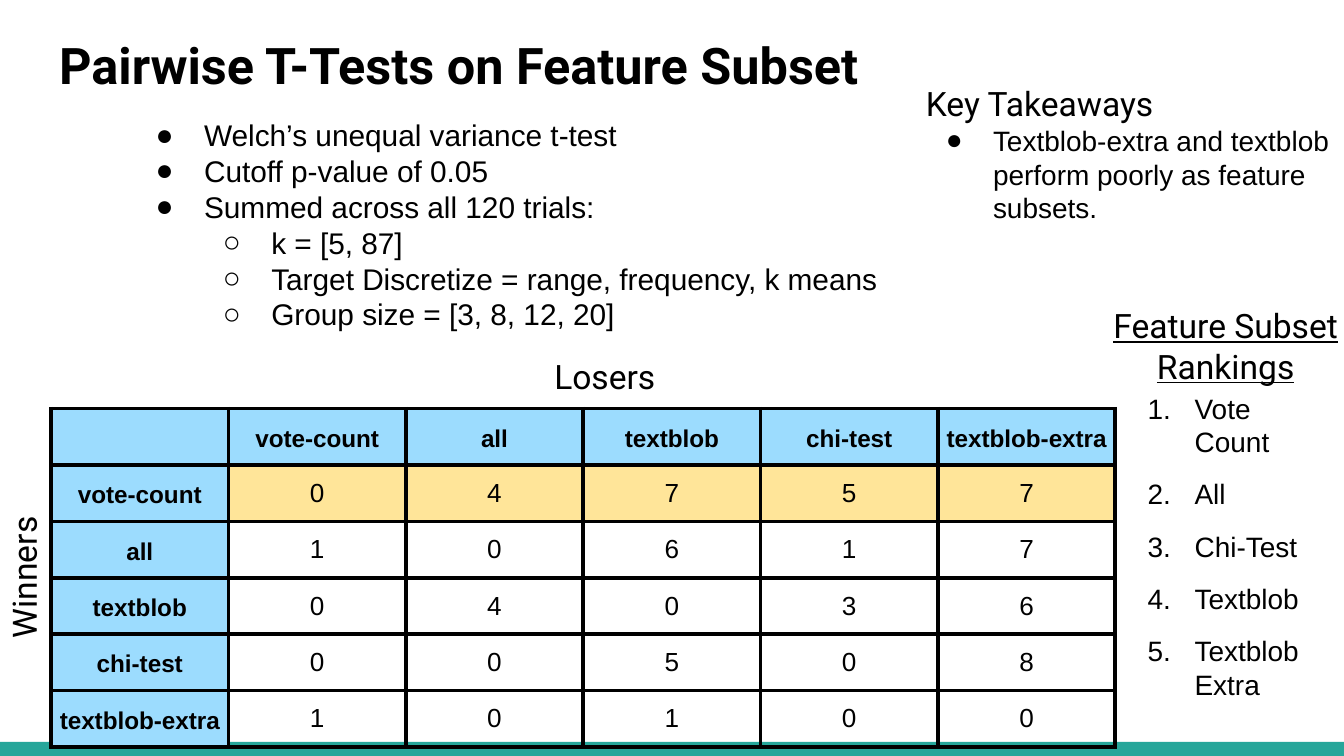
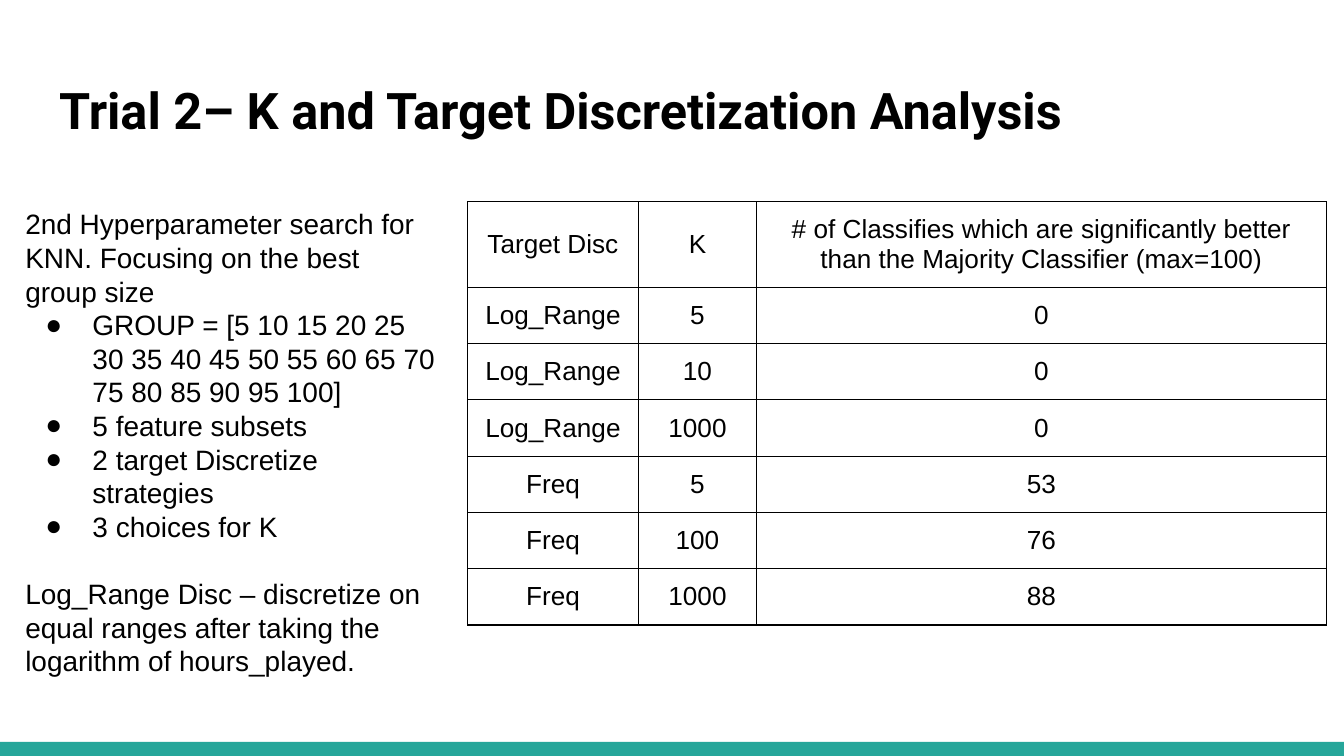
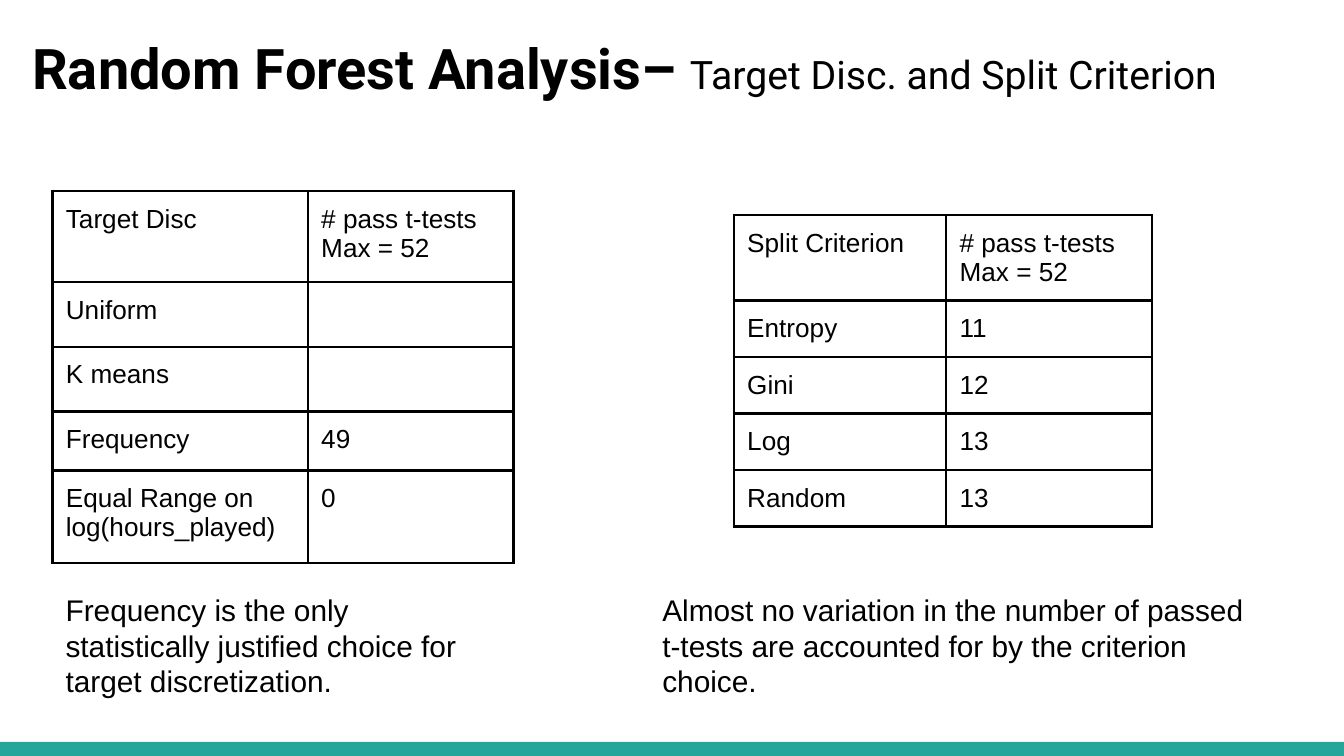
from dataclasses import dataclass

from lxml import etree
from pptx import Presentation
from pptx.dml.color import RGBColor
from pptx.enum.shapes import MSO_SHAPE
from pptx.enum.text import MSO_ANCHOR, MSO_AUTO_SIZE, PP_ALIGN
from pptx.oxml.ns import qn
from pptx.util import Inches, Pt

LEFT, CENTER = PP_ALIGN.LEFT, PP_ALIGN.CENTER
TOP, MIDDLE = MSO_ANCHOR.TOP, MSO_ANCHOR.MIDDLE
FIXED = MSO_AUTO_SIZE.NONE
RECT = MSO_SHAPE.RECTANGLE

BLACK = RGBColor(0x00, 0x00, 0x00)
TEAL = RGBColor(0x26, 0xA6, 0x9A)
BLUE = RGBColor(0x9C, 0xDC, 0xFE)
GOLD = RGBColor(0xFF, 0xE5, 0x99)

HEAD, BODY = "Roboto", "Arial"
DOT, RING, NUMBER = "●", "○", "1."
WIDTH = Inches(10)
HEIGHT = WIDTH * 9 // 16


@dataclass
class Run:
    text: str
    size: float | None = None
    bold: bool | None = None


@dataclass
class Para:
    text: str | list[Run]
    mark: str = ""
    level: int = 0
    size: float | None = None
    font: str | None = None
    before: float = 0
    after: float = 0


@dataclass
class Box:
    left: float
    top: float
    width: float
    height: float

    def place(self) -> list[int]:
        return [Inches(n) for n in (self.left, self.top, self.width, self.height)]


@dataclass
class Grid:
    left: float
    top: float
    cols: list[float]
    rows: list[float]
    cells: list[list[str]]
    line: float
    align: PP_ALIGN = LEFT
    anchor: MSO_ANCHOR = TOP
    pad: tuple[float, float] = (0.1, 0.1)
    keyed: bool = False


def add_mark(para, mark: str, level: int, size: float) -> None:
    props = para._p.get_or_add_pPr()
    props.set("marL", str(Inches(0.5 * (level + 1))))
    props.set("indent", str(-Inches(0.36 if size >= 16 else 0.35)))
    color = etree.SubElement(props, qn("a:buClr"))
    etree.SubElement(color, qn("a:srgbClr"), val=str(BLACK))
    etree.SubElement(props, qn("a:buFont"), typeface=BODY)
    if mark == NUMBER:
        etree.SubElement(props, qn("a:buAutoNum"), type="arabicPeriod")
    else:
        etree.SubElement(props, qn("a:buChar"), char=mark)


def write(frame, text: str | list[Para], *, size: float = 14, font: str = BODY,
          bold: bool = False, under: bool = False, align: PP_ALIGN = LEFT,
          space: float = 1) -> None:
    paras = text if isinstance(text, list) else [Para(t) for t in text.split("\n")]
    for i, item in enumerate(paras):
        para = frame.paragraphs[0] if i == 0 else frame.add_paragraph()
        para.alignment = align
        para.level = item.level
        para.line_spacing = space
        para.space_before, para.space_after = Pt(item.before), Pt(item.after)
        if item.mark:
            add_mark(para, item.mark, item.level, item.size or size)
        runs = item.text if isinstance(item.text, list) else [Run(item.text)]
        for part in runs:
            run = para.add_run()
            run.text = part.text
            face = run.font
            face.name = item.font or font
            face.size = Pt(part.size or item.size or size)
            face.bold = bold if part.bold is None else part.bold
            face.underline = under
            face.color.rgb = BLACK


def set_up(frame) -> None:
    frame.word_wrap = True
    frame.auto_size = FIXED
    frame.vertical_anchor = TOP
    frame.margin_left = frame.margin_right = Inches(0.1)
    frame.margin_top = frame.margin_bottom = Inches(0.1)


def add_text(slide, box: Box, text: str | list[Para], turn: float = 0, **style) -> None:
    shape = slide.shapes.add_textbox(*box.place())
    shape.rotation = turn
    set_up(shape.text_frame)
    write(shape.text_frame, text, **style)


def add_slide(deck, box: Box, title: str | list[Para]):
    slide = deck.slides.add_slide(deck.slide_layouts[5])
    shape = slide.shapes.title
    shape.left, shape.top, shape.width, shape.height = box.place()
    set_up(shape.text_frame)
    write(shape.text_frame, title, size=27, font=HEAD, bold=True)
    return slide


def add_band(slide) -> None:
    band = slide.shapes.add_shape(RECT, *Box(0, 5.52, 10, 0.11).place())
    band.shadow.inherit = False
    band.fill.solid()
    band.fill.fore_color.rgb = TEAL
    band.line.fill.background()
    slide.slide_layout.shapes.element.append(band.element)


def add_edges(cell, width: float) -> None:
    props = cell._tc.get_or_add_tcPr()
    for side in ("lnL", "lnR", "lnT", "lnB"):
        edge = etree.SubElement(props, qn(f"a:{side}"), w=str(Pt(width)))
        fill = etree.SubElement(edge, qn("a:solidFill"))
        etree.SubElement(fill, qn("a:srgbClr"), val=str(BLACK))


def set_empty(cell) -> None:
    para = cell.text_frame.paragraphs[0]
    end = etree.SubElement(para._p, qn("a:endParaRPr"), sz="1800")
    etree.SubElement(end, qn("a:latin"), typeface=BODY)


def add_grid(slide, grid: Grid) -> None:
    box = Box(grid.left, grid.top, sum(grid.cols), sum(grid.rows))
    table = slide.shapes.add_table(len(grid.rows), len(grid.cols), *box.place()).table
    table.first_row = table.horz_banding = False
    for col, width in zip(table.columns, grid.cols):
        col.width = Inches(width)
    for row, height in zip(table.rows, grid.rows):
        row.height = Inches(height)
    for r, line in enumerate(grid.cells):
        for c, text in enumerate(line):
            cell = table.cell(r, c)
            cell.margin_left = cell.margin_right = Inches(grid.pad[0])
            cell.margin_top = cell.margin_bottom = Inches(grid.pad[1])
            cell.vertical_anchor = grid.anchor
            add_edges(cell, grid.line)
            key = grid.keyed and (r == 0 or c == 0)
            if key or (grid.keyed and r == 1):
                cell.fill.solid()
                cell.fill.fore_color.rgb = BLUE if key else GOLD
            else:
                cell.fill.background()
            if text:
                write(cell.text_frame, text, size=13 if key else 14, bold=key,
                      align=grid.align, space=1.15 if key else 1)
            else:
                set_empty(cell)


def add_pairs(deck) -> None:
    slide = add_slide(deck, Box(0.34, 0.15, 9.32, 0.67),
                      "Pairwise T-Tests on Feature Subset")
    add_band(slide)
    names = ["vote-count", "all", "textblob", "chi-test", "textblob-extra"]
    wins = ["04757", "10617", "04036", "00508", "10100"]
    cells = [["", *names]] + [[name, *row] for name, row in zip(names, wins)]
    add_grid(slide, Grid(0.38, 3.04, [1.32] * 6, [0.42] * 6, cells, 2.25,
                         CENTER, MIDDLE, (0.03, 0.02), True))
    add_text(slide, Box(-0.9, 3.96, 2.32, 0.67), "Winners", 270,
             size=18, font=HEAD, align=CENTER)
    add_text(slide, Box(0.92, 0.77, 6.51, 1.69), [
        Para("Welch’s unequal variance t-test", DOT),
        Para("Cutoff p-value of 0.05", DOT),
        Para("Summed across all 120 trials:", DOT),
        Para("k = [5, 87]", RING, 1),
        Para("Target Discretize = range, frequency, k means", RING, 1),
        Para("Group size = [3, 8, 12, 20]", RING, 1),
    ], size=16)
    add_text(slide, Box(6.79, 0.52, 3.38, 2.03), [
        Para("Key Takeaways", size=18, font=HEAD),
        Para("Textblob-extra and textblob perform poorly as feature subsets.", DOT),
    ], size=15)
    ranks = ["Vote Count", "All", "Chi-Test", "Textblob", "Textblob Extra"]
    add_text(slide, Box(8.29, 2.81, 1.65, 2.63), [
        Para(name, NUMBER, before=10 if i else 0, after=0 if i < 4 else 10)
        for i, name in enumerate(ranks)
    ], size=15)
    add_text(slide, Box(8.07, 2.17, 2.1, 1.08), "Feature Subset Rankings",
             size=18, font=HEAD, under=True, align=CENTER)
    add_text(slide, Box(3.34, 2.55, 2.32, 0.5), "Losers",
             size=18, font=HEAD, align=CENTER)


def add_trial(deck) -> None:
    slide = add_slide(deck, Box(0.34, 0.49, 8.88, 0.67),
                      "Trial 2– K and Target Discretization Analysis")
    cells = [
        ["Target Disc", "K", "# of Classifies which are significantly better "
         "than the Majority Classifier (max=100)"],
        ["Log_Range", "5", "0"],
        ["Log_Range", "10", "0"],
        ["Log_Range", "1000", "0"],
        ["Freq", "5", "53"],
        ["Freq", "100", "76"],
        ["Freq", "1000", "88"],
    ]
    add_grid(slide, Grid(3.48, 1.5, [1.27, 0.88, 4.24], [0.42] + [0.4] * 6,
                         cells, 0.75, CENTER, MIDDLE))
    add_text(slide, Box(0.09, 1.44, 3.27, 4.03), [
        Para("2nd Hyperparameter search for KNN. Focusing on the best group size"),
        Para("GROUP = [5 10 15 20 25 30 35 40 45 50 55 60 65 70 75 80 85 90 95 100]", DOT),
        Para("5 feature subsets", DOT),
        Para("2 target Discretize strategies", DOT),
        Para("3 choices for K", DOT),
        Para("Log_Range Disc – discretize on equal ranges after taking the "
             "logarithm of hours_played.", before=18),
    ], size=15)


def add_forest(deck) -> None:
    slide = add_slide(deck, Box(0.14, 0.15, 9.32, 0.67), [Para([
        Run("Random Forest Analysis–", 30),
        Run(" ", 27, False),
        Run("Target Disc. and Split Criterion", 21, False),
    ])])
    passed = "# pass t-tests\nMax = 52"
    splits = [["Split Criterion", passed], ["Entropy", "11"], ["Gini", "12"],
              ["Log", "13"], ["Random", "13"]]
    add_grid(slide, Grid(5.46, 1.6, [1.58, 1.53], [0.42] * 5, splits, 1.5))
    discs = [["Target Disc", passed], ["Uniform", ""], ["K means", ""],
             ["Frequency", "49"], ["Equal Range on log(hours_played)", "0"]]
    add_grid(slide, Grid(0.39, 1.42, [1.9, 1.53], [0.68, 0.44, 0.44, 0.44, 0.69],
                         discs, 1.5))
    add_text(slide, Box(4.83, 4.3, 4.62, 0.99),
             "Almost no variation in the number of passed t-tests are accounted "
             "for by the criterion choice.", size=16)
    add_text(slide, Box(0.39, 4.3, 3.43, 0.99),
             "Frequency is the only statistically justified choice for target "
             "discretization.", size=16)


def main() -> None:
    deck = Presentation()
    deck.slide_width, deck.slide_height = WIDTH, HEIGHT
    add_pairs(deck)
    add_trial(deck)
    add_forest(deck)
    deck.save("out.pptx")


if __name__ == "__main__":
    main()
